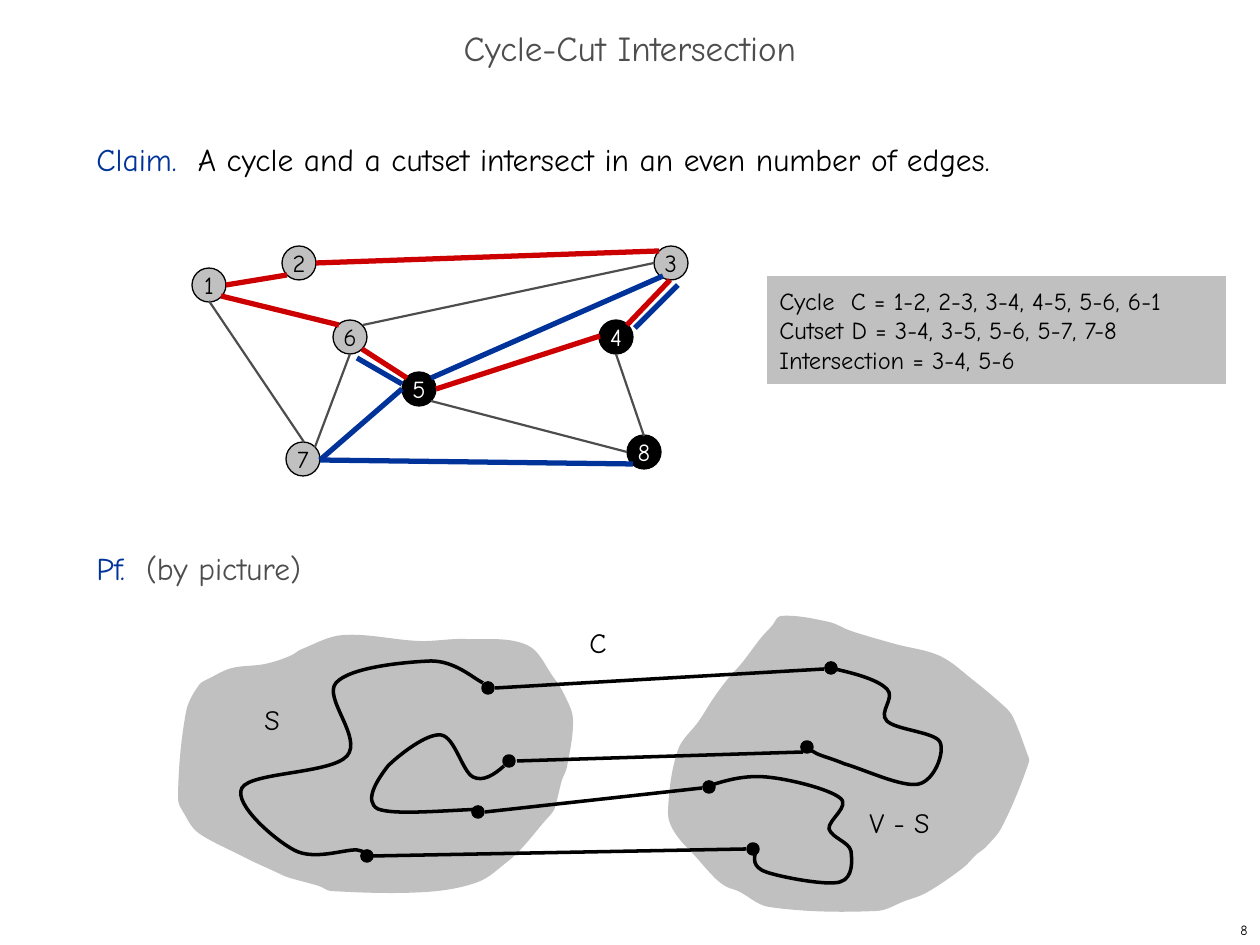
from math import dist

from lxml import etree
from pptx import Presentation
from pptx.dml.color import RGBColor
from pptx.enum.shapes import MSO_CONNECTOR, MSO_SHAPE
from pptx.enum.text import MSO_ANCHOR as ANCHOR, PP_ALIGN as ALIGN
from pptx.oxml.ns import qn
from pptx.util import Emu, Pt

PX = 914400 / 126
FONT = "Comic Neue"
BLACK = RGBColor(0, 0, 0)
WHITE = RGBColor(255, 255, 255)
SILVER = RGBColor(0xC0, 0xC0, 0xC0)
GRAY = RGBColor(0x4D, 0x4D, 0x4D)
RED = RGBColor(0xCC, 0, 0)
BLUE = RGBColor(0, 0x33, 0x99)

# Vertex sets S and V - S, as points on their smooth outlines
S_REGION = [
    (210, 678), (232, 668), (265, 664), (290, 656), (302, 649), (343, 635), (420, 641),
    (465, 639), (527, 645), (554, 678), (564, 694), (573, 719), (567, 767), (562, 780),
    (557, 800), (554, 810), (544, 822), (522, 848), (507, 862), (478, 882), (425, 892),
    (331, 891), (319, 886), (287, 877), (276, 872), (252, 861), (238, 854), (210, 840),
    (195, 830), (185, 815), (178, 799), (186, 712), (199, 685)]
REST_REGION = [
    (781, 616), (829, 622), (851, 631), (895, 644), (940, 656), (973, 680), (1005, 707),
    (1013, 717), (1027, 753), (1029, 762), (1002, 827), (985, 848), (977, 854), (963, 868),
    (926, 893), (905, 901), (877, 911), (769, 907), (738, 891), (727, 887), (716, 879),
    (696, 857), (675, 833), (668, 813), (678, 750), (699, 721), (713, 699), (727, 680),
    (742, 663), (761, 638), (772, 626)]

# Parts of the cycle inside each set: start, then cubic Bezier triples
CYCLE_ARCS = [
    [(368, 861), (368, 857), (369, 852), (357, 850), (345, 849), (314, 861), (294, 850),
     (275, 840), (233, 804), (242, 788), (251, 772), (331, 774), (347, 756), (363, 738),
     (323, 698), (336, 683), (350, 667), (406, 662), (431, 661), (455, 661), (473, 678),
     (483, 683)],
    [(483, 809), (438, 811), (394, 815), (378, 809), (363, 801), (378, 779), (388, 766),
     (399, 755), (427, 733), (441, 735), (455, 737), (462, 771), (473, 777), (483, 782),
     (494, 775), (504, 766)],
    [(804, 742), (805, 746), (806, 748), (814, 752), (820, 756), (828, 757), (845, 764),
     (863, 769), (903, 788), (919, 784), (935, 780), (945, 752), (940, 742), (935, 732),
     (896, 730), (887, 721), (878, 712), (896, 698), (887, 689), (878, 680), (857, 674),
     (835, 669)],
    [(703, 788), (723, 781), (743, 775), (766, 777), (789, 779), (829, 789), (840, 798),
     (851, 806), (828, 820), (829, 829), (832, 838), (849, 842), (851, 851), (852, 859),
     (854, 878), (840, 882), (827, 886), (780, 877), (766, 872), (752, 867), (754, 858),
     (756, 851)]]
CROSSING_ENDS = [(831, 668), (488, 688), (367, 856), (753, 849),
                 (509, 761), (807, 747), (478, 812), (709, 787)]
CROSSINGS = [(495, 688, 824, 669), (517, 761, 803, 752),
             (746, 849, 373, 856), (702, 788, 485, 812)]

# Example graph: node centres, and edges by role
NODES = {1: (209, 285), 2: (299, 263), 3: (671, 263), 4: (616, 337),
         5: (419, 389), 6: (350, 337), 7: (303, 459), 8: (644, 452)}
CUT_SIDE = {4, 5, 8}
PLAIN_EDGES = [(209, 301, 304, 442), (363, 325, 654, 263), (431, 401, 627, 452),
               (616, 354, 644, 436), (350, 354, 315, 447)]
CYCLE_EDGES = [(226, 285, 287, 275), (221, 296, 339, 325), (627, 325, 670, 280),
               (362, 349, 407, 378), (436, 389, 600, 336), (316, 263, 659, 251)]
CUTSET_EDGES = [(663, 276, 431, 378), (320, 460, 402, 389), (320, 460, 633, 464),
                (357, 358, 402, 384), (635, 328, 678, 285)]


def px(value):
    return Emu(round(value * PX))


def style(run, size, color):
    run.font.name, run.font.size, run.font.color.rgb = FONT, Pt(size), color


def write(shape, text, size, color, align=ALIGN.LEFT, anchor=ANCHOR.TOP):
    frame = shape.text_frame
    frame.text = text
    frame.vertical_anchor = anchor
    line = frame.paragraphs[0]
    line.alignment = align
    for run in line.runs:
        style(run, size, color)
    return frame


def add_text(slide, box, text, size, color, **layout):
    frame = write(slide.shapes.add_textbox(*map(px, box)), text, size, color, **layout)
    frame.word_wrap = True
    return frame


def add_statements(slide, box, statements):
    frame = slide.shapes.add_textbox(*map(px, box)).text_frame
    frame.word_wrap = True
    for i, (heading, body, color, gap) in enumerate(statements):
        line = frame.add_paragraph() if i else frame.paragraphs[0]
        line.line_spacing = Pt(26)
        if gap:
            line.space_before = Pt(gap)
        for text, ink in ((heading, BLUE), (body, color)):
            run = line.add_run()
            run.text = text
            style(run, 18, ink)


def add_filled(slide, kind, box, fill, line_width=0):
    shape = slide.shapes.add_shape(kind, *map(px, box))
    shape.shadow.inherit = False
    shape.fill.solid()
    shape.fill.fore_color.rgb = fill
    if line_width:
        shape.line.color.rgb = BLACK
        shape.line.width = Pt(line_width)
    else:
        shape.line.fill.background()
    return shape


def add_disc(slide, center, size, fill, line_width):
    x, y = center
    box = (x - size / 2, y - size / 2, size, size)
    return add_filled(slide, MSO_SHAPE.OVAL, box, fill, line_width)


def add_edges(slide, edges, color, width):
    for ends in edges:
        edge = slide.shapes.add_connector(MSO_CONNECTOR.STRAIGHT, *map(px, ends))
        edge.line.color.rgb = color
        edge.line.width = Pt(width)
        etree.SubElement(edge._element.spPr, qn("a:effectLst"))


def add_curve(slide, controls, close=False):
    start, *rest = [(px(x), px(y)) for x, y in controls]
    builder = slide.shapes.build_freeform(*start, scale=1.0)
    builder.add_line_segments(rest, close=close)
    curve = builder.convert_to_shape()
    curve.shadow.inherit = False
    # Every three straight segments hold the controls of one cubic segment
    segments = list(curve._element.iter(qn("a:lnTo")))
    for i in range(0, len(segments), 3):
        cubic = etree.Element(qn("a:cubicBezTo"))
        segments[i].addprevious(cubic)
        for segment in segments[i:i + 3]:
            cubic.append(segment[0])
            segment.getparent().remove(segment)
    return curve


def smooth_controls(points):
    count = len(points)
    controls = [points[0]]

    def handle(i, reach):
        (x0, y0), (x1, y1) = points[i - 1], points[(i + 1) % count]
        ratio = reach / dist((x0, y0), (x1, y1))
        return points[i][0] + (x1 - x0) * ratio, points[i][1] + (y1 - y0) * ratio

    for i in range(count):
        j = (i + 1) % count
        reach = dist(points[i], points[j]) / 3
        controls += [handle(i, reach), handle(j, -reach), points[j]]
    return controls


def add_node(slide, number, center):
    fill, color = (BLACK, WHITE) if number in CUT_SIDE else (SILVER, BLACK)
    node = add_disc(slide, center, 34, fill, 0.75)
    write(node, str(number), 14, color, ALIGN.CENTER, ANCHOR.MIDDLE).word_wrap = False


def main():
    deck = Presentation()
    deck.slide_width, deck.slide_height = px(1260), px(945)
    slide = deck.slides.add_slide(deck.slide_layouts[6])

    # Regions behind everything else
    for outline in (REST_REGION, S_REGION):
        region = add_curve(slide, smooth_controls(outline), close=True)
        region.fill.solid()
        region.fill.fore_color.rgb = SILVER
        region.line.fill.background()

    # Title, claim and proof
    title = add_text(slide, (0, 21, 1260, 63), "Cycle-Cut Intersection", 20, GRAY,
                     align=ALIGN.CENTER, anchor=ANCHOR.MIDDLE)
    title.paragraphs[0].line_spacing = 0.7
    claim = "A cycle and a cutset intersect in an even number of edges."
    add_statements(slide, (84, 126, 1081, 746), [
        ("Claim.  ", claim, BLACK, 0), ("Pf.  ", "(by picture)", GRAY, 208)])

    # Cycle crossing the cut
    for center in CROSSING_ENDS:
        add_disc(slide, center, 10, BLACK, 2)
    add_edges(slide, CROSSINGS, BLACK, 2)
    for controls in CYCLE_ARCS:
        arc = add_curve(slide, controls)
        arc.fill.background()
        arc.line.color.rgb = BLACK
        arc.line.width = Pt(2)
    for text, left, top, width in (("S", 252, 696, 53), ("V - S", 857, 799, 116),
                                   ("C", 577, 619, 53)):
        add_text(slide, (left, top, width, 47), text, 16, BLACK)

    # Example graph and its edge sets
    for number, center in NODES.items():
        add_node(slide, number, center)
    add_edges(slide, PLAIN_EDGES, GRAY, 1.25)
    add_edges(slide, CYCLE_EDGES, RED, 3)
    add_edges(slide, CUTSET_EDGES, BLUE, 3)
    legend = add_filled(slide, MSO_SHAPE.RECTANGLE, (767, 276, 459, 108), SILVER)
    write(legend, "Cycle  C = 1-2, 2-3, 3-4, 4-5, 5-6, 6-1\v"
                  "Cutset D = 3-4, 3-5, 5-6, 5-7, 7-8\v"
                  "Intersection = 3-4, 5-6", 14, BLACK, anchor=ANCHOR.MIDDLE)

    # Slide number
    add_text(slide, (998, 914, 262, 31), "8", 8, BLACK,
             align=ALIGN.RIGHT, anchor=ANCHOR.MIDDLE)
    deck.save("out.pptx")


if __name__ == "__main__":
    main()
